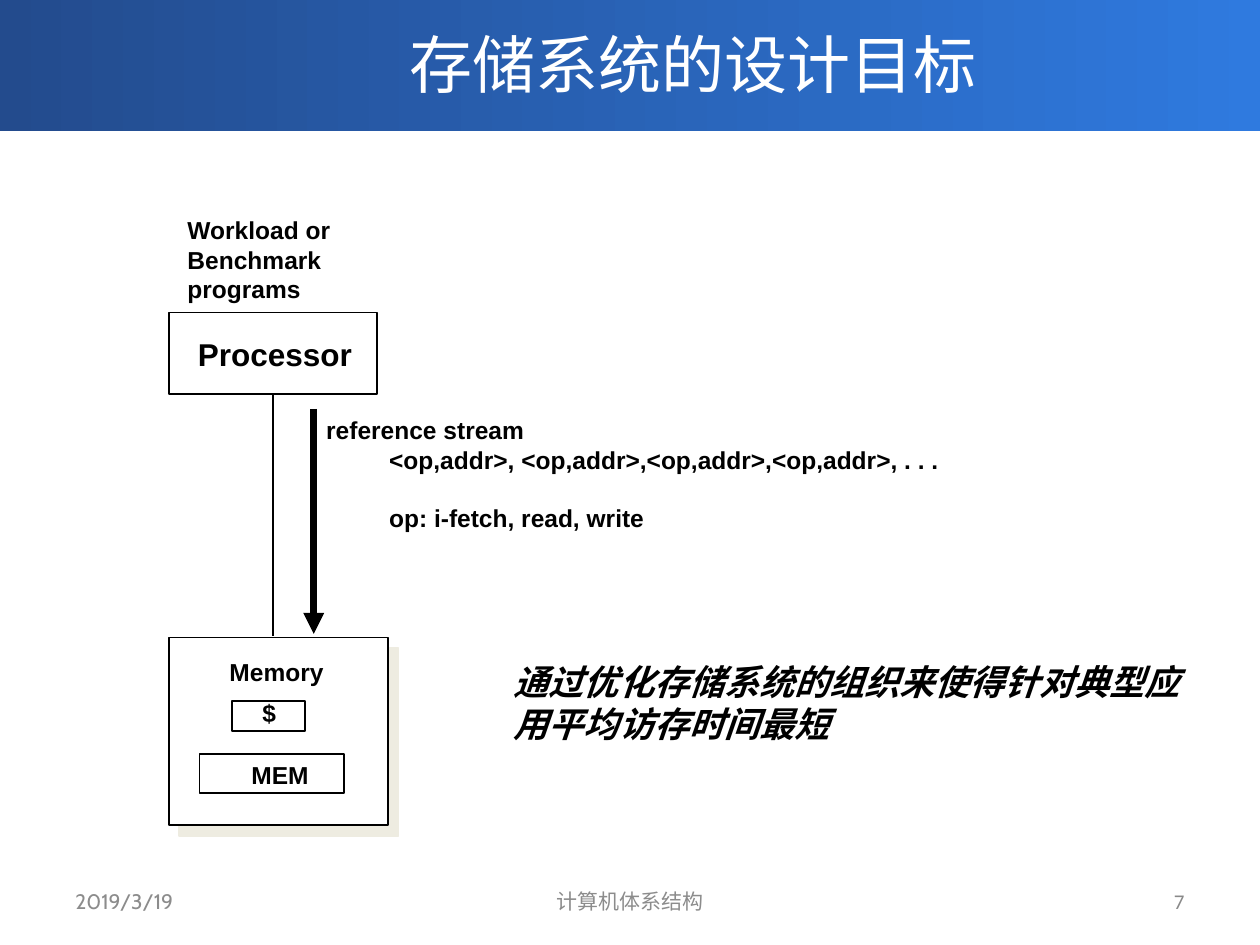
from dataclasses import dataclass

from lxml.etree import SubElement
from pptx import Presentation
from pptx.dml.color import RGBColor
from pptx.enum.shapes import MSO_CONNECTOR, MSO_SHAPE
from pptx.enum.text import MSO_ANCHOR, MSO_AUTO_SIZE, PP_ALIGN
from pptx.oxml.ns import qn
from pptx.util import Inches, Pt

COLORS = {"ink": "000000", "paper": "FFFFFF", "band_dark": "234B8D", "band_light": "2F7ADF",
          "shade": "EEECE1", "date": "8C8C8C", "number": "898989"}
CJK = "Noto Sans CJK SC"
LABEL = {"size": Pt(14), "name": "Arial", "bold": True}


@dataclass
class Box:
    left: float
    top: float
    width: float
    height: float

    def share(self, left, top, width, height):
        return Box(self.left + left * self.width, self.top + top * self.height,
                   width * self.width, height * self.height)

    def emu(self):
        return [Inches(v) for v in (self.left, self.top, self.width, self.height)]


def color(key):
    return RGBColor.from_string(COLORS[key])


def add_box(slide, box, shaded=False):
    rect = slide.shapes.add_shape(MSO_SHAPE.RECTANGLE, *box.emu())
    rect.shadow.inherit = False
    rect.fill.solid()
    rect.fill.fore_color.rgb = color("paper")
    rect.line.color.rgb = color("ink")
    rect.line.width = Pt(1)
    if shaded:
        effects = rect._element.spPr.find(qn("a:effectLst"))
        shade = SubElement(effects, qn("a:outerShdw"), dist=str(Pt(8.5)), dir="2700000",
                           algn="ctr", rotWithShape="0")
        SubElement(shade, qn("a:srgbClr"), val=COLORS["shade"])
    return rect


def add_text(slide, box, lines, style, ink="ink", wrap=False, anchor=MSO_ANCHOR.TOP,
             align=PP_ALIGN.LEFT):
    textbox = slide.shapes.add_textbox(*box.emu())
    frame = textbox.text_frame
    frame.word_wrap = wrap
    frame.auto_size = MSO_AUTO_SIZE.NONE if wrap else MSO_AUTO_SIZE.SHAPE_TO_FIT_TEXT
    frame.vertical_anchor = anchor
    for index, line in enumerate(lines):
        paragraph = frame.paragraphs[0] if index == 0 else frame.add_paragraph()
        paragraph.alignment = align
        run = paragraph.add_run()
        run.text = line
        for key, value in style.items():
            setattr(run.font, key, value)
        run.font.color.rgb = color(ink)
        SubElement(run._r.rPr, qn("a:ea"), typeface=CJK)
    return frame


def add_line(slide, start, end, width, arrow=False):
    line = slide.shapes.add_connector(MSO_CONNECTOR.STRAIGHT,
                                      *[Inches(v) for v in (*start, *end)])
    line.line.color.rgb = color("ink")
    line.line.width = Pt(width)
    if arrow:
        SubElement(line._element.spPr.find(qn("a:ln")), qn("a:tailEnd"), type="triangle")
    SubElement(line._element.spPr, qn("a:effectLst"))
    return line


def draw_header(slide, box):
    band = slide.shapes.add_shape(MSO_SHAPE.RECTANGLE, *box.emu())
    band.shadow.inherit = False
    band.line.fill.background()
    band.fill.gradient()
    band.fill.gradient_angle = 0
    for stop, (position, key) in zip(band.fill.gradient_stops,
                                     ((0, "band_dark"), (1, "band_light"))):
        stop.position = position
        stop.color.rgb = color(key)
    add_text(slide, box.share(0.1, 0.03, 0.9, 0.93), ["存储系统的设计目标"],
             {"size": Pt(36), "name": CJK}, "paper", True, MSO_ANCHOR.MIDDLE, PP_ALIGN.CENTER)


def draw_processor(slide, box):
    processor = add_box(slide, box)
    add_text(slide, box.share(0.08, 0.2, 0.87, 0.62), ["Processor"], LABEL | {"size": Pt(18)})
    add_text(slide, box.share(0.03, -1.26, 0.81, 1.25),
             ["Workload or", "Benchmark", "programs"], LABEL)
    return processor


def draw_memory(slide, box):
    add_box(slide, box, shaded=True)
    for inner in ((0.29, 0.34, 0.33, 0.16), (0.14, 0.62, 0.66, 0.21)):
        add_box(slide, box.share(*inner))
    for label, left, top, width in (("Memory", 0.22, 0.07, 0.55), ("$", 0.37, 0.29, 0.18),
                                    ("MEM", 0.32, 0.62, 0.38)):
        add_text(slide, box.share(left, top, width, 0.23), [label], LABEL)


def draw_stream(slide, box, processor):
    bus_x = processor.left.inches + processor.width.inches / 2
    bus = add_line(slide, (bus_x, box.top), (bus_x, box.top + box.height), 1)
    bus.begin_connect(processor, 2)
    add_line(slide, (box.left, box.top + 0.06 * box.height),
             (box.left, box.top + 0.99 * box.height), 4, arrow=True)
    stream = add_text(slide, box.share(0, 0.06, 1, 0.54),
                      ["reference stream", "<op,addr>, <op,addr>,<op,addr>,<op,addr>, . . .",
                       "op: i-fetch, read, write"], LABEL)
    for paragraph in stream.paragraphs[1:]:
        paragraph.level = 1
        for key, value in (("marL", Inches(0.5)), ("indent", 0)):
            paragraph._p.get_or_add_pPr().set(key, str(value))
    stream.paragraphs[2].space_before = Pt(16.8)


def draw_goal(slide, box):
    add_text(slide, box, ["通过优化存储系统的组织来使得针对典型应用平均访存时间最短"],
             LABEL | {"size": Pt(20), "italic": True}, wrap=True)


def draw_footer(slide, box):
    for left, width, words, font, ink, align in (
            (0, 0.26, "2019/3/19", "Cabin", "date", PP_ALIGN.LEFT),
            (0.324, 0.352, "计算机体系结构", "Cabin", "date", PP_ALIGN.CENTER),
            (0.74, 0.26, "7", "Calibri", "number", PP_ALIGN.RIGHT)):
        add_text(slide, box.share(left, 0, width, 1), [words], {"size": Pt(12), "name": font},
                 ink, True, MSO_ANCHOR.MIDDLE, align)


def main():
    deck = Presentation()
    deck.slide_width, deck.slide_height = Inches(10), Inches(7.5)
    slide = deck.slides.add_slide(deck.slide_layouts[6])
    draw_header(slide, Box(0, -0.03, 10, 1.07))
    processor = draw_processor(slide, Box(1.34, 2.48, 1.65, 0.65))
    draw_memory(slide, Box(1.34, 5.06, 1.74, 1.49))
    draw_stream(slide, Box(2.49, 3.13, 5.08, 1.92), processor)
    draw_goal(slide, Box(3.98, 5.19, 5.61, 0.77))
    draw_footer(slide, Box(0.5, 6.95, 9, 0.4))
    deck.save("out.pptx")


if __name__ == "__main__":
    main()
